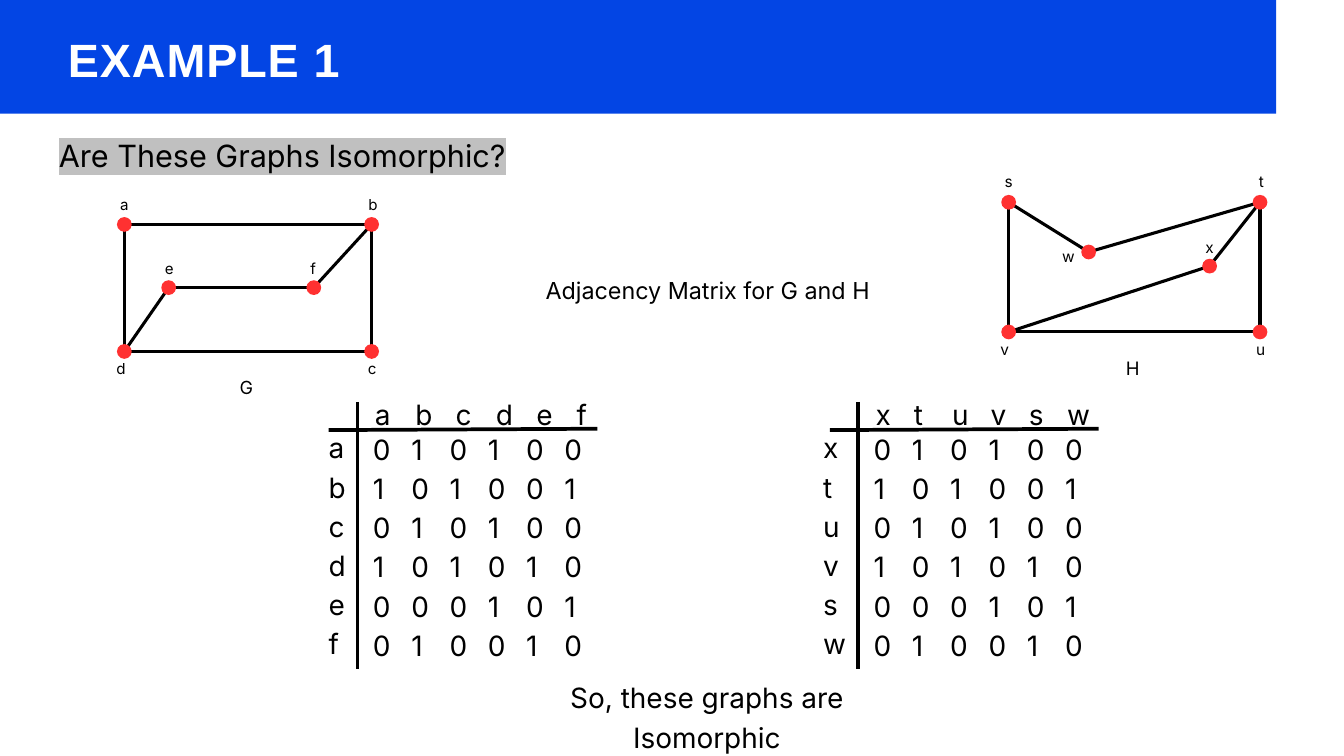
from lxml.etree import SubElement
from pptx import Presentation
from pptx.dml.color import RGBColor
from pptx.enum.shapes import MSO_CONNECTOR, MSO_SHAPE
from pptx.enum.text import MSO_ANCHOR, PP_ALIGN
from pptx.oxml.ns import qn
from pptx.util import Inches, Pt

BLUE = RGBColor(0x03, 0x45, 0xE4)
RED = RGBColor(0xFF, 0x31, 0x31)
BLACK = RGBColor(0x00, 0x00, 0x00)
WHITE = RGBColor(0xFF, 0xFF, 0xFF)
SILVER = "C0C0C0"

DOT = 0.22
LABEL_WIDTH = 0.2
LINE_RATIO = 1.4  # line spacing as a multiple of the text size

# Each vertex: centre x, centre y, label left, label top
VERTICES_G = {
    "a": (1.85, 3.34, 1.75, 2.86), "b": (5.53, 3.34, 5.45, 2.86),
    "c": (5.53, 5.23, 5.44, 5.3), "d": (1.85, 5.23, 1.7, 5.3),
    "e": (2.51, 4.28, 2.42, 3.82), "f": (4.67, 4.28, 4.56, 3.82),
}
VERTICES_H = {
    "s": (15.01, 3.01, 14.91, 2.52), "t": (18.75, 3.01, 18.67, 2.52),
    "u": (18.75, 4.94, 18.66, 5.01), "v": (15.01, 4.94, 14.85, 5.01),
    "w": (16.2, 3.75, 15.8, 3.63), "x": (18, 3.96, 17.9, 3.49),
}
EDGES_G = ["ab", "bc", "cd", "da", "de", "ef", "fb"]
EDGES_H = ["sv", "vu", "ut", "sw", "wt", "tx", "xv"]
MATRIX = ["010100", "101001", "010100", "101010", "000101", "010010"]


class SlideBuilder:
    """Holds the shared style and the slide being filled."""

    font_name = "Inter"

    def __init__(self, slide):
        self.slide = slide

    def shape(self, preset, left, top, width, height, color):
        shape = self.slide.shapes.add_shape(
            preset, Inches(left), Inches(top), Inches(width), Inches(height))
        shape.shadow.inherit = False
        shape.fill.solid()
        shape.fill.fore_color.rgb = color
        shape.line.fill.background()

    def line(self, start, end, width):
        x1, y1, x2, y2 = (Inches(value) for value in (*start, *end))
        connector = self.slide.shapes.add_connector(MSO_CONNECTOR.STRAIGHT, x1, y1, x2, y2)
        connector.line.color.rgb = BLACK
        connector.line.width = Pt(width)
        SubElement(connector._element.spPr, qn("a:effectLst"))

    def text(self, lines, left, top, width, height, size, align=PP_ALIGN.CENTER,
             color=BLACK, inset=0, tab_pitch=None, highlight=None, spacing=None, **font_format):
        box = self.slide.shapes.add_textbox(
            Inches(left), Inches(top), Inches(width), Inches(height))
        frame = box.text_frame
        frame_format = {
            "word_wrap": True, "vertical_anchor": MSO_ANCHOR.TOP, "margin_left": Inches(inset),
            "margin_right": 0, "margin_top": 0, "margin_bottom": 0,
        }
        for name, value in frame_format.items():
            setattr(frame, name, value)
        run_format = {"name": self.font_name, "size": Pt(size), **font_format}
        for index, line in enumerate(lines):
            paragraph = frame.paragraphs[0] if index == 0 else frame.add_paragraph()
            paragraph.alignment = align
            paragraph.line_spacing = Pt(round(size * LINE_RATIO, 1))
            if tab_pitch:
                self.tab_stops(paragraph, tab_pitch, line.count("\t"))
            run = paragraph.add_run()
            run.text = line
            run.font.color.rgb = color
            if highlight:
                mark = SubElement(run.font._element, qn("a:highlight"))
                SubElement(mark, qn("a:srgbClr"), val=highlight)
            if spacing:
                run.font._element.set("spc", str(spacing * 100))
            for name, value in run_format.items():
                setattr(run.font, name, value)

    def tab_stops(self, paragraph, pitch, count):
        properties = paragraph._p.get_or_add_pPr()
        tab_list = SubElement(properties, qn("a:tabLst"))
        for column in range(1, count + 1):
            SubElement(tab_list, qn("a:tab"), pos=str(Inches(column * pitch)), algn="l")

    def graph(self, vertices, edges, line_width, label_size):
        for start, end in edges:
            self.line(vertices[start][:2], vertices[end][:2], line_width)
        for name, (x, y, label_left, label_top) in vertices.items():
            self.shape(MSO_SHAPE.OVAL, x - DOT / 2, y - DOT / 2, DOT, DOT, RED)
            self.text([name], label_left, label_top, LABEL_WIDTH, 0.3, label_size)

    def matrix(self, names, axis_left, rule_left, names_left, header_pitch):
        """Adjacency matrix: two rules, column names, row names and values."""
        self.line((rule_left, 6.4), (rule_left + 4, 6.38), 4)
        self.line((axis_left, 5.98), (axis_left, 9.96), 4)
        self.text(["\t".join(names)], axis_left + 0.26, 5.83, 3.31, 0.55, 30,
                  align=PP_ALIGN.LEFT, tab_pitch=header_pitch)
        self.text(names, names_left, 6.33, 0.53, 3.47, 30, align=PP_ALIGN.LEFT)
        self.text(["\t".join(row) for row in MATRIX], axis_left, 6.35, 3.58, 3.47, 30,
                  align=PP_ALIGN.LEFT, inset=0.23, tab_pitch=0.57)


def main():
    presentation = Presentation()
    presentation.slide_width = Inches(20)
    presentation.slide_height = Inches(11.25)
    builder = SlideBuilder(presentation.slides.add_slide(presentation.slide_layouts[6]))

    # Title band and question
    builder.shape(MSO_SHAPE.RECTANGLE, 0, 0, 18.99, 1.69, BLUE)
    builder.text(["EXAMPLE 1"], 1.01, 0.32, 11.78, 0.93, 50, align=PP_ALIGN.LEFT,
                 color=WHITE, spacing=1, name="Arial", bold=True)
    builder.text(["Are These Graphs Isomorphic?"], 0.65, 1.95, 7.1, 0.61, 32.8,
                 highlight=SILVER)

    # Graphs G and H
    builder.graph(VERTICES_G, EDGES_G, 3.25, 16.2)
    builder.text(["G"], 3.56, 5.54, 0.21, 0.36, 19.4)
    builder.graph(VERTICES_H, EDGES_H, 3.31, 16.5)
    builder.text(["H"], 16.75, 5.26, 0.21, 0.36, 19.8)

    # Caption and conclusion
    builder.text(["Adjacency Matrix for G and H"], 8.11, 4.04, 4.84, 0.46, 25)
    builder.text(["So, these graphs are Isomorphic"], 7.34, 10.05, 6.36, 0.57, 30)

    # Adjacency matrices
    builder.matrix("abcdef", 5.32, 4.89, 4.89, 0.6)
    builder.matrix("xtuvsw", 12.77, 12.35, 12.25, 0.57)

    presentation.save("out.pptx")


if __name__ == "__main__":
    main()
